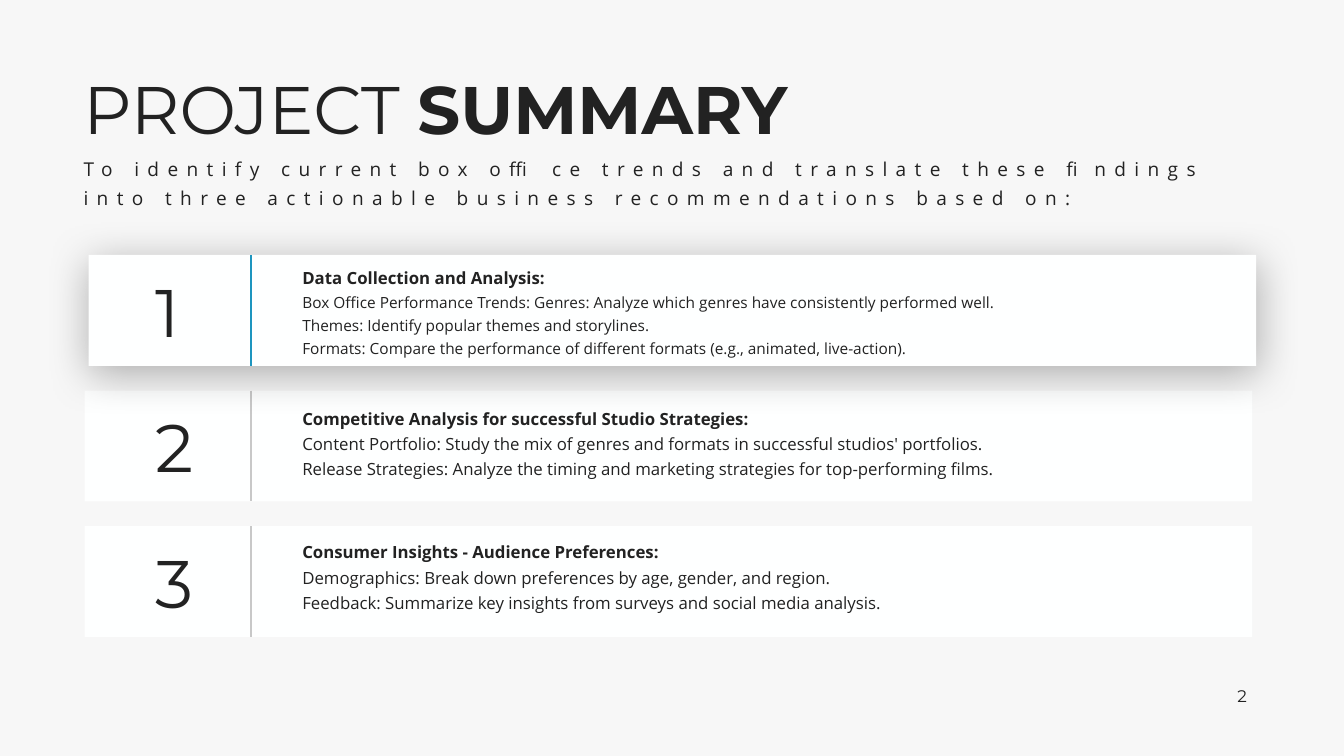
import pptx
import pptx.dml.color
import pptx.enum.shapes
import pptx.enum.text
import pptx.oxml
import pptx.oxml.ns
import pptx.util
from dataclasses import dataclass

Inches = pptx.util.Inches
Pt = pptx.util.Pt
Anchor = pptx.enum.text.MSO_ANCHOR
AutoSize = pptx.enum.text.MSO_AUTO_SIZE

TITLE = [("PROJECT ", False), ("SUMMARY", True)]
SUBTITLE = (
    "To identify current box office trends and translate these findings "
    "into three actionable business recommendations based on:"
)
PAGE_NUMBER = "2"
GOALS = [
    {
        "heading": "Data Collection and Analysis:",
        "details": [
            "Box Office Performance Trends: Genres: Analyze which genres have consistently performed well.",
            "Themes: Identify popular themes and storylines.",
            "Formats: Compare the performance of different formats (e.g., animated, live-action).",
        ],
        "detail_size": 11,
        "text_offset": 0.03,
        "text_height": 1.03,
        "highlighted": True,
    },
    {
        "heading": "Competitive Analysis for successful Studio Strategies:",
        "details": [
            "Content Portfolio: Study the mix of genres and formats in successful studios' portfolios.",
            "Release Strategies: Analyze the timing and marketing strategies for top-performing films.",
        ],
        "detail_size": 12,
        "text_offset": 0.08,
        "text_height": 0.84,
        "highlighted": False,
    },
    {
        "heading": "Consumer Insights - Audience Preferences:",
        "details": [
            "Demographics: Break down preferences by age, gender, and region.",
            "Feedback: Summarize key insights from surveys and social media analysis.",
        ],
        "detail_size": 12,
        "text_offset": 0.06,
        "text_height": 0.84,
        "highlighted": False,
    },
]

FIRST_CARD_TOP, LAST_CARD_TOP = 2.53, 5.22
CARD_PITCH = (LAST_CARD_TOP - FIRST_CARD_TOP) / (len(GOALS) - 1)
CARD_WIDTH, CARD_HEIGHT = 11.58, 1.1
DIVIDER_LEFT = 2.49


@dataclass(frozen=True)
class Theme:
    display_font: str = "Montserrat"
    body_font: str = "Open Sans"
    background: str = "F7F7F7"
    card: str = "FEFFFF"
    ink: str = "222222"
    accent: str = "1D95BF"
    muted: str = "C8C8C8"
    display_size: float = 48
    subtitle_size: float = 13.6
    body_size: float = 12


THEME = Theme()


def rgb(value):
    return pptx.dml.color.RGBColor.from_string(value)


def add_text_frame(slide, left, top, width, height, wrap=True, anchor=Anchor.TOP, grow=False):
    box = slide.shapes.add_textbox(Inches(left), Inches(top), Inches(width), Inches(height))
    frame = box.text_frame
    frame.word_wrap = wrap
    frame.vertical_anchor = anchor
    frame.auto_size = AutoSize.SHAPE_TO_FIT_TEXT if grow else AutoSize.NONE
    return frame


def style(paragraph, font_name, size, bold=False):
    paragraph.font.name = font_name
    paragraph.font.size = Pt(size)
    paragraph.font.bold = bold
    paragraph.font.color.rgb = rgb(THEME.ink)


def add_card_shadow(card):
    effects = card._element.spPr.find(pptx.oxml.ns.qn("a:effectLst"))
    effects.append(pptx.oxml.parse_xml(
        f'<a:outerShdw {pptx.oxml.ns.nsdecls("a")} blurRad="{Pt(30)}" dist="{Pt(5)}" '
        'dir="5400000" algn="t" rotWithShape="0">'
        '<a:srgbClr val="000000"><a:alpha val="30000"/></a:srgbClr></a:outerShdw>'
    ))


def add_heading(slide):
    paragraph = add_text_frame(slide, 0.73, 0.63, 11.5, 0.97, anchor=Anchor.MIDDLE).paragraphs[0]
    style(paragraph, THEME.display_font, THEME.display_size)
    paragraph.line_spacing = 0.9
    for text, bold in TITLE:
        run = paragraph.add_run()
        run.text = text
        run.font.bold = bold

    paragraph = add_text_frame(slide, 0.73, 1.44, 11.58, 0.69, anchor=Anchor.MIDDLE).paragraphs[0]
    paragraph.text = SUBTITLE
    style(paragraph, THEME.body_font, THEME.subtitle_size)
    paragraph.line_spacing = 1.3
    paragraph.space_before = Pt(10)
    paragraph.runs[0].font._element.set("spc", "600")


def add_goal(slide, index, goal):
    top = FIRST_CARD_TOP + index * CARD_PITCH
    highlighted = goal["highlighted"]
    card = slide.shapes.add_shape(
        pptx.enum.shapes.MSO_SHAPE.RECTANGLE,
        Inches(0.88 if highlighted else 0.84), Inches(top), Inches(CARD_WIDTH), Inches(CARD_HEIGHT),
    )
    card.shadow.inherit = False
    card.fill.solid()
    card.fill.fore_color.rgb = rgb(THEME.card)
    card.line.fill.background()
    if highlighted:
        add_card_shadow(card)

    number = add_text_frame(slide, 1.44, top + 0.1, 0.58, 0.91, wrap=False, grow=True).paragraphs[0]
    if highlighted:
        number._parent._parent.width = Inches(0.45)
    number.text = str(index + 1)
    style(number, THEME.display_font, THEME.display_size)

    frame = add_text_frame(
        slide, 2.9, top + goal["text_offset"], 9.33, goal["text_height"], grow=True
    )
    for position, text in enumerate([goal["heading"], *goal["details"]]):
        is_heading = position == 0
        paragraph = frame.paragraphs[0] if is_heading else frame.add_paragraph()
        paragraph.text = text
        paragraph.line_spacing = 1.25
        size = THEME.body_size if is_heading else goal["detail_size"]
        style(paragraph, THEME.body_font, size, bold=is_heading)

    divider = slide.shapes.add_connector(
        pptx.enum.shapes.MSO_CONNECTOR.STRAIGHT,
        Inches(DIVIDER_LEFT), Inches(top), Inches(DIVIDER_LEFT), Inches(top + CARD_HEIGHT),
    )
    divider.line.color.rgb = rgb(THEME.accent if highlighted else THEME.muted)
    divider.line.width = Pt(2)
    divider._element.spPr.append(pptx.oxml.parse_xml(f'<a:effectLst {pptx.oxml.ns.nsdecls("a")}/>'))


def add_page_number(slide):
    frame = add_text_frame(slide, 12.17, 6.72, 0.3, 0.36, wrap=False, anchor=Anchor.MIDDLE)
    frame.margin_left = frame.margin_right = Inches(0.13)
    frame.margin_top = frame.margin_bottom = Inches(0.07)
    paragraph = frame.paragraphs[0]
    paragraph.text = PAGE_NUMBER
    paragraph.alignment = pptx.enum.text.PP_ALIGN.CENTER
    style(paragraph, THEME.display_font, THEME.body_size)


def main():
    presentation = pptx.Presentation()
    presentation.slide_width = Inches(13.33)
    presentation.slide_height = Inches(7.5)
    slide = presentation.slides.add_slide(presentation.slide_layouts[6])
    slide.background.fill.solid()
    slide.background.fill.fore_color.rgb = rgb(THEME.background)

    add_page_number(slide)
    add_heading(slide)
    for index, goal in sorted(enumerate(GOALS), key=lambda entry: entry[1]["highlighted"]):
        add_goal(slide, index, goal)
    presentation.save("out.pptx")


if __name__ == "__main__":
    main()
